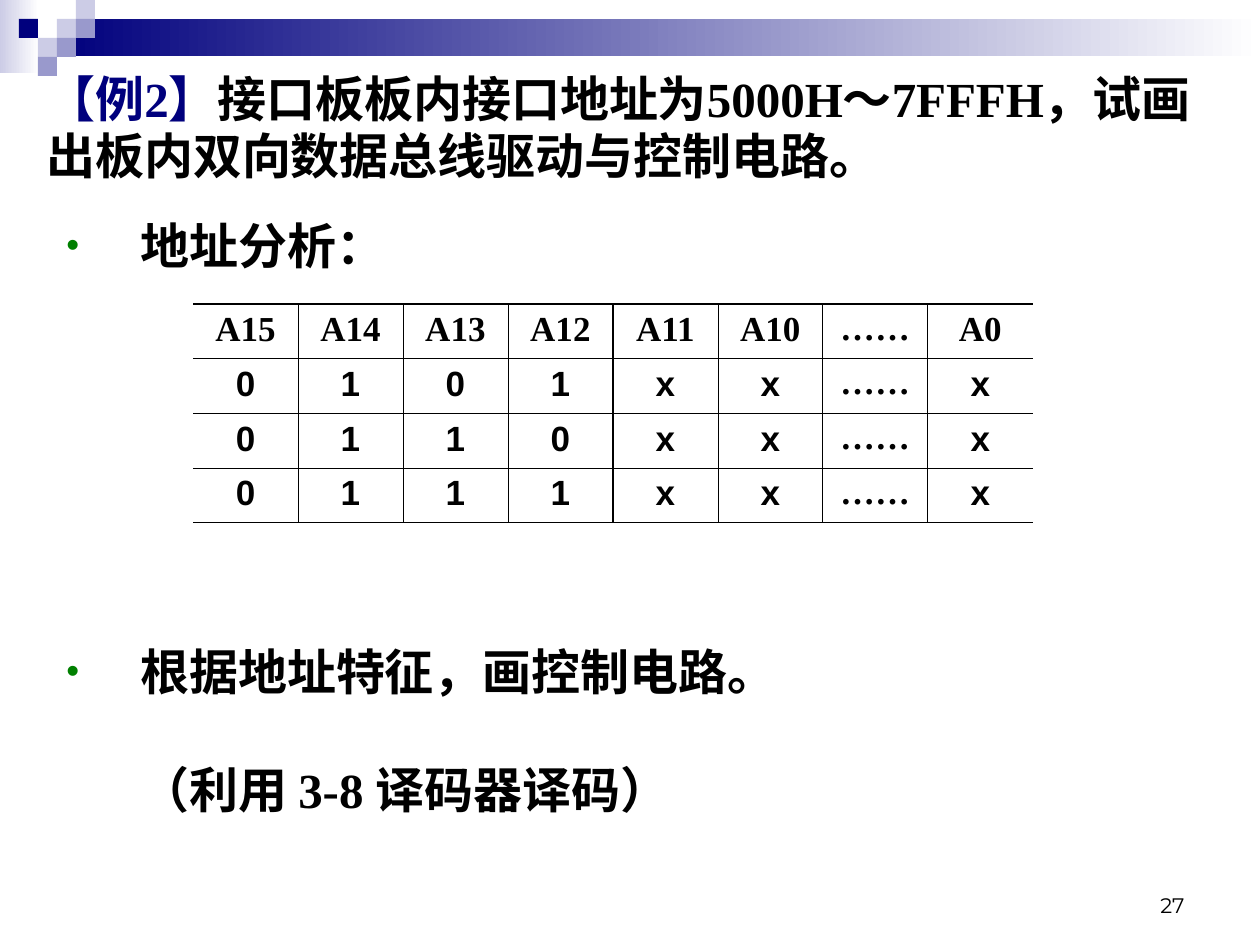
from lxml.etree import SubElement
from pptx import Presentation
from pptx.dml.color import RGBColor
from pptx.enum.shapes import MSO_SHAPE
from pptx.enum.text import MSO_ANCHOR, PP_ALIGN
from pptx.oxml.ns import qn
from pptx.util import Emu, Pt

PX_PER_INCH = 126
COLORS = {
    "navy": "00007D",
    "lavender": "CCCCE6",
    "violet": "9999CC",
    "white": "FFFFFF",
    "black": "000000",
    "green": "008000",
}
SERIF, SANS, CJK = "Times New Roman", "Arial", "Noto Sans CJK SC"
SQUARE = 19
THIN, THICK = 0.45, 1.08

SQUARES = [  # column, row, colour
    (3, 1, "lavender"), (4, 0, "lavender"), (4, 1, "violet"),
    (2, 2, "lavender"), (1, 1, "navy"), (3, 2, "violet"), (2, 3, "violet"),
]
ADDRESS_ROWS = [
    ["A15", "A14", "A13", "A12", "A11", "A10", "……", "A0"],
    ["0", "1", "0", "1", "x", "x", "……", "x"],
    ["0", "1", "1", "0", "x", "x", "……", "x"],
    ["0", "1", "1", "1", "x", "x", "……", "x"],
]


def px(length):
    return Emu(round(length * 914400 / PX_PER_INCH))


def px_to_pt(length):
    return Pt(length * 72 / PX_PER_INCH)


def rgb(color):
    return RGBColor.from_string(COLORS[color])


def add_block(slide, box, color, fade_to=None):
    block = slide.shapes.add_shape(MSO_SHAPE.RECTANGLE, *map(px, box))
    block.shadow.inherit = False
    block.line.fill.background()
    if fade_to:
        block.fill.gradient()
        block.fill.gradient_angle = 0
        for stop, stop_color in zip(block.fill.gradient_stops, (color, fade_to)):
            stop.color.rgb = rgb(stop_color)
    else:
        block.fill.solid()
        block.fill.fore_color.rgb = rgb(color)


def add_banner(slide):
    add_block(slide, (0, 0, 39, 73), "lavender", "white")
    add_block(slide, (57, 19, 1203, 37), "navy", "white")
    for column, row, color in SQUARES:
        add_block(slide, (column * SQUARE, row * SQUARE, SQUARE, SQUARE), color)


def style_run(run, font, size, color="black", bold=True):
    run.font.name = font
    run.font.size = Pt(size)
    run.font.bold = bold
    run.font.color.rgb = rgb(color)
    SubElement(run.font._element, qn("a:ea")).set("typeface", CJK)


def add_text_frame(slide, box, top_inset):
    frame = slide.shapes.add_textbox(*map(px, box)).text_frame
    frame.word_wrap = True
    frame.margin_top = px(top_inset)
    return frame


def add_question(slide):
    question = add_text_frame(slide, (34, 55, 1191, 149), 15).paragraphs[0]
    question.line_spacing = px_to_pt(57)
    for text, color in [
        ("【例2】", "navy"),
        ("接口板板内接口地址为5000H～7FFFH，试画出板内双向数据总线驱动与控制电路。", "black"),
    ]:
        run = question.add_run()
        run.text = text
        style_run(run, SERIF, 28, color)


def indent_step(paragraph, bulleted):
    """Align the text at one hanging indent, with a green bullet if asked."""
    properties = paragraph._p.get_or_add_pPr()
    hang = px(74)
    properties.set("marL", str(hang))
    properties.set("indent", str(-hang if bulleted else 0))
    if bulleted:
        bullet_color = SubElement(properties, qn("a:buClr"))
        SubElement(bullet_color, qn("a:srgbClr")).set("val", COLORS["green"])
        SubElement(properties, qn("a:buSzPct")).set("val", "75000")
        SubElement(properties, qn("a:buFont")).set("typeface", SANS)
        SubElement(properties, qn("a:buChar")).set("char", "•")
    else:
        SubElement(properties, qn("a:buNone"))


def add_steps(slide):
    frame = add_text_frame(slide, (54, 204, 1171, 655), 11)
    steps = [  # text, gap above, bulleted
        ("地址分析：", 0, True),
        ("根据地址特征，画控制电路。", 367, True),
        ("（利用 3-8 译码器译码）", 59, False),
    ]
    for index, (text, gap, bulleted) in enumerate(steps):
        step = frame.add_paragraph() if index else frame.paragraphs[0]
        step.text = text
        indent_step(step, bulleted)
        step.line_spacing = px_to_pt(59)
        if gap:
            step.space_before = px_to_pt(gap)
        style_run(step.runs[0], SERIF, 28)


def set_borders(cell, widths):
    """Draw left, right, top and bottom borders; a width of 0 hides one."""
    properties = cell._tc.get_or_add_tcPr()
    for index, (side, width) in enumerate(zip(("lnL", "lnR", "lnT", "lnB"), widths)):
        border = properties.makeelement(qn(f"a:{side}"), {"w": str(Pt(width))})
        properties.insert(index, border)
        if width:
            fill = SubElement(border, qn("a:solidFill"))
            SubElement(fill, qn("a:srgbClr")).set("val", COLORS["black"])
        else:
            SubElement(border, qn("a:noFill"))


def add_address_table(slide):
    row_count, column_count = len(ADDRESS_ROWS), len(ADDRESS_ROWS[0])
    row_height, column_width = 54, 105
    table = slide.shapes.add_table(
        row_count, column_count, px(193), px(304),
        px(column_count * column_width), px(row_count * row_height),
    ).table
    table.first_row = table.horz_banding = False
    # Widths of the rules between columns and between rows, outer edges included
    column_rules = [0, THIN, THIN, THIN, THICK, THIN, THIN, THIN, 0]
    row_rules = [THICK, THICK, THIN, THIN, THICK]
    for r, values in enumerate(ADDRESS_ROWS):
        for c, value in enumerate(values):
            cell = table.cell(r, c)
            cell.fill.background()
            set_borders(cell, column_rules[c:c + 2] + row_rules[r:r + 2])
            entry = cell.text_frame.paragraphs[0]
            entry.text = value
            entry.alignment = PP_ALIGN.CENTER
            font = CJK if value == "……" else SANS if r else SERIF
            style_run(entry.runs[0], font, 20)


def add_page_number(slide):
    frame = add_text_frame(slide, (903, 861, 294, 63), 6)
    frame.vertical_anchor = MSO_ANCHOR.BOTTOM
    frame.text = "27"
    number = frame.paragraphs[0]
    number.alignment = PP_ALIGN.RIGHT
    style_run(number.runs[0], "Montserrat", 12, bold=False)


def main():
    deck = Presentation()
    deck.slide_width, deck.slide_height = px(1260), px(945)
    slide = deck.slides.add_slide(deck.slide_layouts[6])
    add_banner(slide)
    add_page_number(slide)
    add_question(slide)
    add_steps(slide)
    add_address_table(slide)
    deck.save("out.pptx")


if __name__ == "__main__":
    main()
